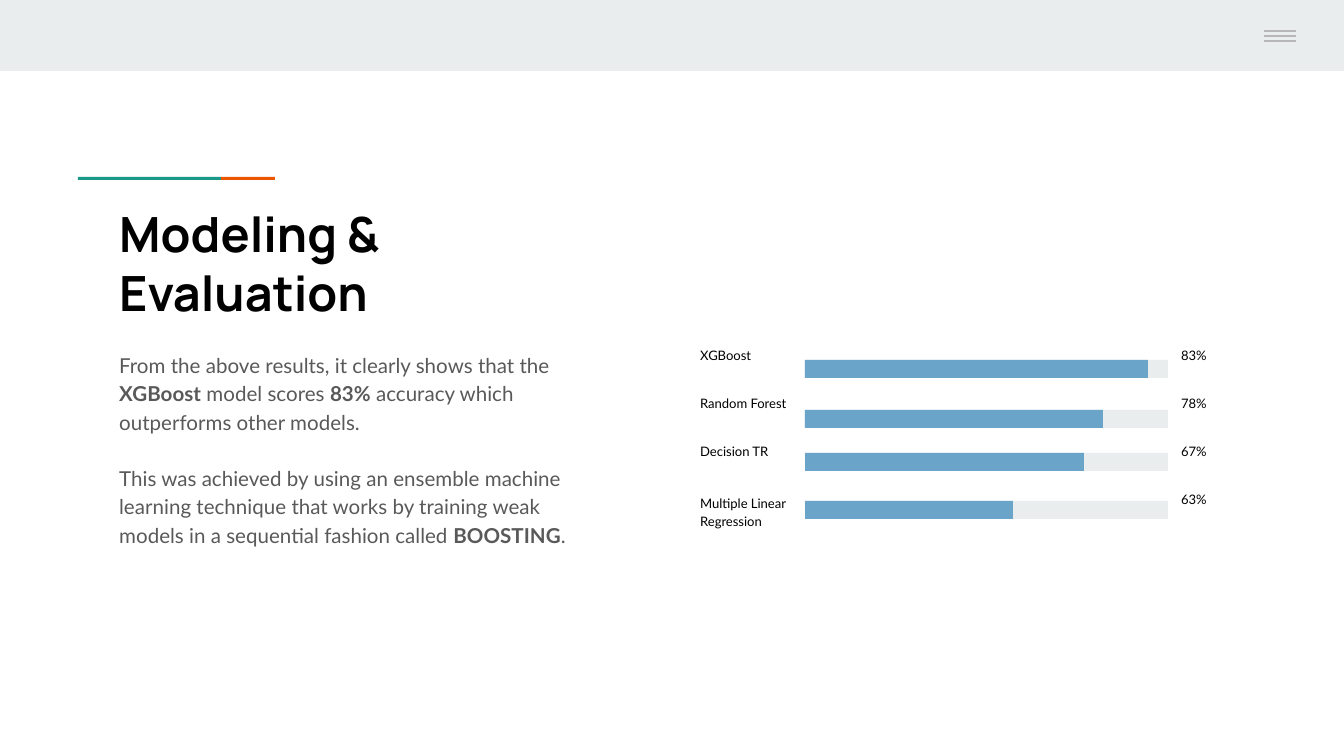
"""Build the modeling and evaluation slide with its accuracy bars."""
from typing import NamedTuple

import pptx
import pptx.dml.color
import pptx.enum.shapes
import pptx.util
from lxml import etree
from pptx.oxml.ns import qn

RGB = pptx.dml.color.RGBColor
PALE = RGB(0xE9, 0xED, 0xEE)
BLUE = RGB(0x6A, 0xA4, 0xC8)
TEAL = RGB(0x1A, 0x99, 0x88)
RUST = RGB(0xEB, 0x56, 0x00)
GRAY = RGB(0xB7, 0xB7, 0xB7)
DARK = RGB(0x59, 0x59, 0x59)
BLACK = RGB(0, 0, 0)
SCALE = 914400 / 134.4


class Box(NamedTuple):
    left: int
    top: int
    width: int
    height: int


class Run(NamedTuple):
    text: str
    bold: bool = False


class Style(NamedTuple):
    font: str
    size: int
    color: RGB
    line: float = 1.15
    gap: int = 0


class Score(NamedTuple):
    name: str
    value: str
    top: int
    width: int


TITLE = Style("Manrope", 26, BLACK, 1.0)
BODY = Style("Lato", 11, DARK, gap=15)
LABEL = Style("Lato", 7, BLACK)

STORY = [
    [
        Run("From the above results, it clearly shows that the "),
        Run("XGBoost", True),
        Run(" model scores "),
        Run("83%", True),
        Run(" accuracy which outperforms other models."),
    ],
    [
        Run("This was achieved by using an ensemble machine learning technique "
            "that works by training weak models in a sequential fashion called "),
        Run("BOOSTING", True),
        Run("."),
    ],
]

SCORES = [
    Score("XGBoost", "83%", 360, 343),
    Score("Random Forest", "78%", 410, 298),
    Score("Decision TR", "67%", 453, 279),
    Score("Multiple Linear Regression", "63%", 501, 208),
]


def px(count: int) -> pptx.util.Emu:
    """Turn pixels into EMU."""
    return pptx.util.Emu(round(count * SCALE))


def add_bar(slide, box: Box, color: RGB) -> None:
    """Draw a plain filled rectangle."""
    kind = pptx.enum.shapes.MSO_SHAPE.RECTANGLE
    shape = slide.shapes.add_shape(kind, *map(px, box))
    shape.shadow.inherit = False
    shape.fill.solid()
    shape.fill.fore_color.rgb = color
    shape.line.fill.background()


def add_rule(slide, left: int, right: int, top: int) -> None:
    """Draw a thin level line."""
    kind = pptx.enum.shapes.MSO_CONNECTOR.STRAIGHT
    rule = slide.shapes.add_connector(kind, px(left), px(top), px(right), px(top))
    rule.line.color.rgb = GRAY
    rule.line.width = pptx.util.Pt(0.75)
    etree.SubElement(rule._element.spPr, qn("a:effectLst"))


def add_text(slide, box: Box, story: list[list[Run]], style: Style) -> None:
    """Write paragraphs of runs in a wrapped text box."""
    frame = slide.shapes.add_textbox(*map(px, box)).text_frame
    frame.word_wrap = True
    frame.margin_left = frame.margin_right = pptx.util.Inches(0.1)
    frame.margin_top = frame.margin_bottom = pptx.util.Inches(0.1)
    for order, runs in enumerate(story):
        para = frame.add_paragraph() if order else frame.paragraphs[0]
        para.line_spacing = style.line
        if order:
            para.space_before = pptx.util.Pt(style.gap)
        for part in runs:
            run = para.add_run()
            run.text = part.text
            run.font.name = style.font
            run.font.size = pptx.util.Pt(style.size)
            run.font.bold = part.bold
            run.font.color.rgb = style.color


def add_score(slide, score: Score, top: int) -> None:
    """Draw one model's name, bar and accuracy."""
    add_text(slide, Box(687, top, 132, 52), [[Run(score.name)]], LABEL)
    add_text(slide, Box(1168, top, 109, 52), [[Run(score.value)]], LABEL)
    add_bar(slide, Box(805, score.top, 363, 18), PALE)
    add_bar(slide, Box(805, score.top, score.width, 18), BLUE)


def main() -> None:
    """Build and save the slide."""
    deck = pptx.Presentation()
    deck.slide_width, deck.slide_height = px(1344), px(756)
    slide = deck.slides.add_slide(deck.slide_layouts[6])
    add_bar(slide, Box(0, 0, 1344, 71), PALE)
    add_bar(slide, Box(78, 177, 143, 3), TEAL)
    add_bar(slide, Box(221, 177, 54, 3), RUST)
    for row in range(3):
        add_rule(slide, 1264, 1296, 31 + 5 * row)
    add_text(slide, Box(106, 191, 485, 77), [[Run("Modeling & Evaluation", True)]], TITLE)
    add_text(slide, Box(106, 336, 485, 157), STORY, BODY)
    for row, score in enumerate(SCORES):
        add_score(slide, score, 336 + 48 * row)
    deck.save("out.pptx")


if __name__ == "__main__":
    main()
